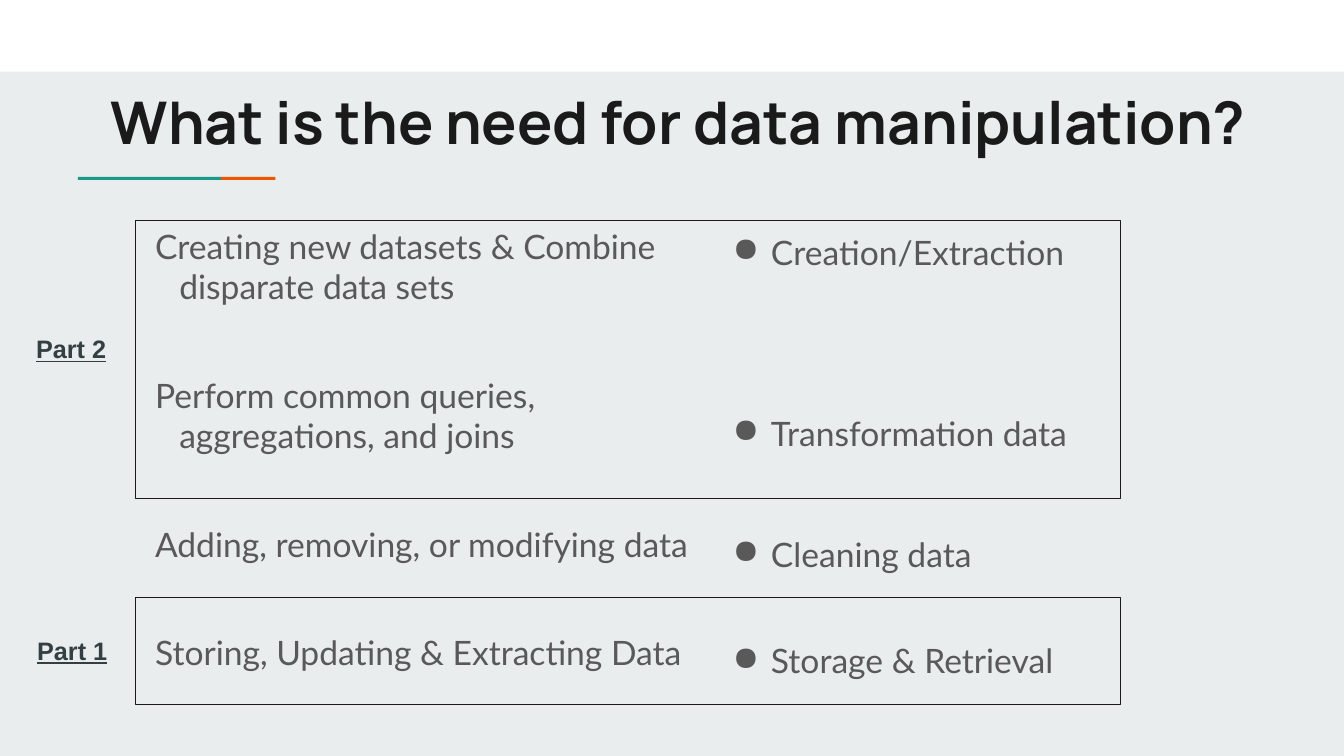
from dataclasses import dataclass
from typing import Optional

from lxml.etree import SubElement as add_element
from pptx import Presentation
from pptx.dml.color import RGBColor
from pptx.enum.shapes import MSO_SHAPE as Shape
from pptx.enum.text import MSO_ANCHOR as Anchor
from pptx.oxml.ns import qn
from pptx.util import Inches, Pt

WIDTH, HEIGHT = Inches(13.33), Inches(7.5)
PALE, WHITE, INK, GREY, SLATE = "E9EDEE", "FFFFFF", "1A1A1A", "595959", "333F42"
TEAL, ORANGE = "1A9988", "EB5600"
LINE, GAP = 28.8, 10  # points: one 24 pt line of Lato, space between paragraphs
TALL_LINE = 1.15 * LINE


@dataclass
class Area:
    """Left, top, width and height in percent of the slide."""
    left: float
    top: float
    width: float
    height: float

    def lengths(self) -> tuple:
        return (int(WIDTH * self.left / 100), int(HEIGHT * self.top / 100),
                int(WIDTH * self.width / 100), int(HEIGHT * self.height / 100))


@dataclass
class Panel:
    area: Area
    fill: str
    line: Optional[str] = None


@dataclass
class Style:
    font: str
    size: float
    colour: str
    bold: bool = False
    underline: bool = False
    shadow: bool = False
    margin: float = 0
    indent: float = 0
    spacing: Optional[float] = None
    bullet: str = ""


@dataclass
class Entry:
    text: str
    before: float = 0


@dataclass
class TextBlock:
    area: Area
    style: Style
    entries: list
    anchor: Anchor = Anchor.TOP
    wrap: bool = True


TITLE = Style("Manrope", 42, INK, bold=True, shadow=True)
NEED = Style("Lato", 24, GREY, shadow=True, margin=0.38, indent=-0.24)
STEP = Style("Lato", 24, GREY, shadow=True, margin=0.38, indent=-0.4,
             spacing=1.15, bullet="●")
LABEL = Style("Arial", 18, SLATE, bold=True, underline=True)

PANELS = [
    Panel(Area(0, 0, 100, 9.47), WHITE),
    Panel(Area(5.8, 23.4, 10.65, 0.4), TEAL),
    Panel(Area(16.45, 23.4, 4.05, 0.4), ORANGE),
    Panel(Area(10.05, 79.07, 73.35, 14.13), PALE, INK),
    Panel(Area(10.05, 29.2, 73.35, 36.8), PALE, INK),
]

BLOCKS = [
    TextBlock(Area(7.5, 8.93, 91.8, 14.13), TITLE,
              [Entry("What is the need for data manipulation?")], Anchor.MIDDLE),
    TextBlock(Area(9.75, 29.2, 44.1, 59.2), NEED, [
        Entry("Creating new datasets & Combine disparate data sets"),
        Entry("Perform common queries, aggregations, and joins", LINE + 2 * GAP),
        Entry("Adding, removing, or modifying data", LINE + 2 * GAP),
        Entry("Storing, Updating & Extracting Data", LINE + 2 * GAP),
    ]),
    TextBlock(Area(53.78, 29.2, 32.93, 59.2), STEP, [
        Entry("Creation/Extraction"),
        Entry("Transformation data", 2 * TALL_LINE + 3 * GAP),
        Entry("Cleaning data", TALL_LINE + 2 * GAP),
        Entry("Storage & Retrieval", TALL_LINE + GAP),
    ]),
    TextBlock(Area(1.95, 43.47, 6.75, 5.33), LABEL, [Entry("Part 2")], wrap=False),
    TextBlock(Area(2.03, 83.33, 6.75, 5.33), LABEL, [Entry("Part 1")], wrap=False),
]


def colour(code: str) -> RGBColor:
    return RGBColor.from_string(code)


def draw_panel(page, panel: Panel) -> None:
    box = page.shapes.add_shape(Shape.RECTANGLE, *panel.area.lengths())
    box.shadow.inherit = False
    box.fill.solid()
    box.fill.fore_color.rgb = colour(panel.fill)
    if panel.line:
        box.line.color.rgb = colour(panel.line)
        box.line.width = Pt(0.75)
    else:
        box.line.fill.background()


def add_text_shadow(span) -> None:
    effects = add_element(span.font._element, qn("a:effectLst"))
    shadow = add_element(effects, qn("a:outerShdw"), blurRad="38100",
                         dist="38100", dir="2700000", algn="tl")
    tint = add_element(shadow, qn("a:srgbClr"), val="000000")
    add_element(tint, qn("a:alpha"), val="43000")


def add_bullet(para, style: Style) -> None:
    properties = para._p.get_or_add_pPr()
    bullet_colour = add_element(properties, qn("a:buClr"))
    add_element(bullet_colour, qn("a:srgbClr"), val=style.colour)
    add_element(properties, qn("a:buChar"), char=style.bullet)


def fill_paragraph(para, entry: Entry, style: Style) -> None:
    span = para.add_run()
    span.text = entry.text
    if style.shadow:
        add_text_shadow(span)
    para.space_before = Pt(entry.before)
    if style.spacing:
        para.line_spacing = style.spacing
    properties = para._p.get_or_add_pPr()
    properties.set("marL", str(Inches(style.margin)))
    properties.set("indent", str(Inches(style.indent)))
    if style.bullet:
        add_bullet(para, style)
    font = para.font
    font.name, font.size = style.font, Pt(style.size)
    font.bold, font.underline = style.bold, style.underline
    font.color.rgb = colour(style.colour)


def draw_text(page, block: TextBlock) -> None:
    frame = page.shapes.add_textbox(*block.area.lengths()).text_frame
    frame.word_wrap = block.wrap
    frame.vertical_anchor = block.anchor
    for number, entry in enumerate(block.entries):
        para = frame.add_paragraph() if number else frame.paragraphs[0]
        fill_paragraph(para, entry, block.style)


def main() -> None:
    deck = Presentation()
    deck.slide_width, deck.slide_height = WIDTH, HEIGHT
    page = deck.slides.add_slide(deck.slide_layouts[6])
    page.background.fill.solid()
    page.background.fill.fore_color.rgb = colour(PALE)

    # White band, accent line and framed parts
    for panel in PANELS:
        draw_panel(page, panel)

    # Title, both columns and part labels
    for block in BLOCKS:
        draw_text(page, block)

    deck.save("out.pptx")


if __name__ == "__main__":
    main()
